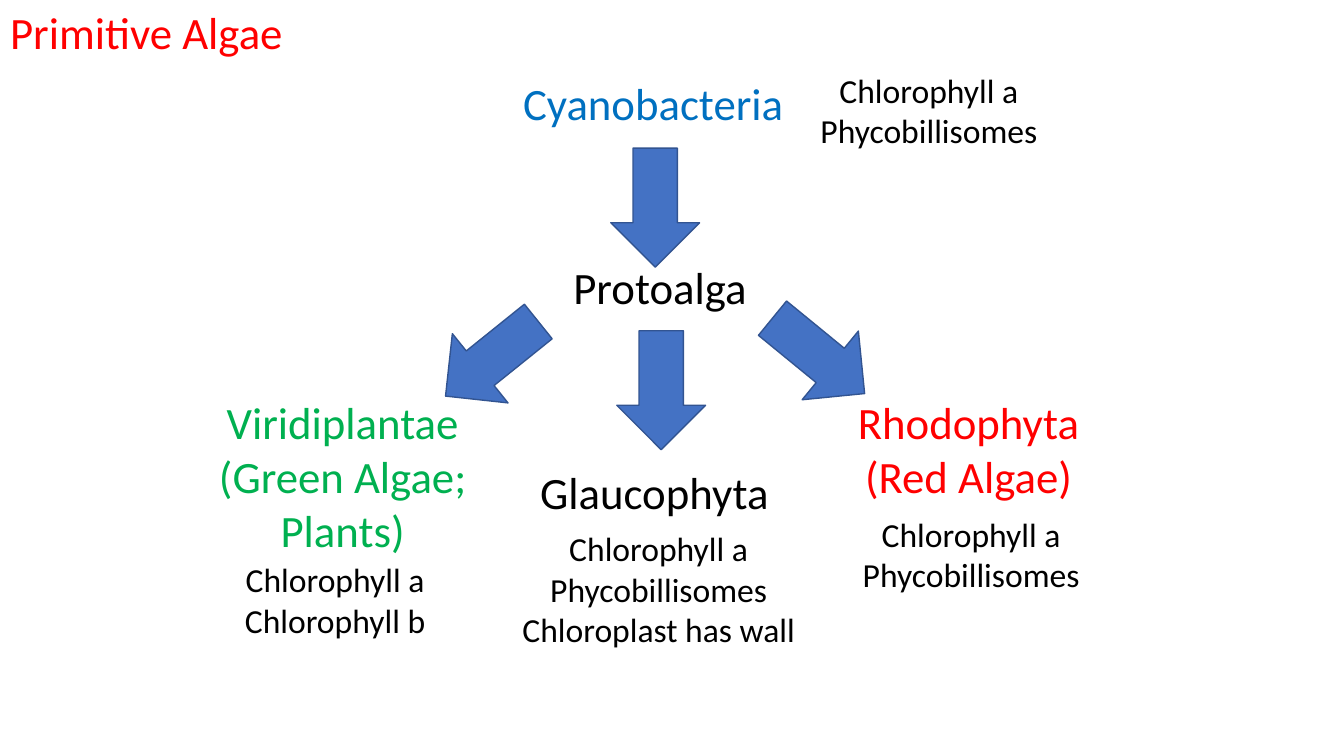
from dataclasses import dataclass

from pptx import Presentation, util as u
from pptx.dml.color import RGBColor
from pptx.enum import shapes, text

COLORS = {
    "red": "FF0000",
    "blue": "0070C0",
    "green": "00B050",
    "black": "000000",
    "arrow": "4472C4",
    "arrow_edge": "325491",
}
FONT = "Calibri"
NAME_SIZE, PIGMENT_SIZE = 32, 24
LINE_SPACING, INSETS = 1.21, 7.2
ARROW_WIDTH, ARROW_HEIGHT = 63.4, 85


@dataclass
class Label:
    left: float
    top: float
    width: float
    lines: list[str]
    color: str = "black"
    size: int = NAME_SIZE
    centred: bool = True


@dataclass
class Arrow:
    left: float
    top: float
    rotation: float = 0


TITLE = Label(0, 0, 211.7, ["Primitive Algae"], "red", centred=False)

ARROWS = [
    Arrow(436.3, 105.8),
    Arrow(553, 211.7, 309.3),
    Arrow(319.7, 213.8, 51.2),
    Arrow(440.6, 236.2),
]

GROUPS = [
    Label(366.5, 50.4, 202.3, ["Cyanobacteria"], "blue", centred=False),
    Label(402.5, 182.2, 139.7, ["Protoalga"], centred=False),
    Label(148.3, 278.6, 193, ["Viridiplantae", "(Green Algae;", "Plants)"], "green"),
    Label(604.8, 278.6, 174.2, ["Rhodophyta", "(Red Algae)"], "red"),
    Label(378.7, 328.3, 180, ["Glaucophyta"], centred=False),
]

RED_PIGMENTS = ["Chlorophyll a", "Phycobillisomes"]
PIGMENTS = [
    Label(578.2, 46.1, 170.6, RED_PIGMENTS, size=PIGMENT_SIZE),
    Label(608.4, 363.6, 170.6, RED_PIGMENTS, size=PIGMENT_SIZE),
    Label(167, 396, 144.7, ["Chlorophyll a", "Chlorophyll b"], size=PIGMENT_SIZE),
    Label(365, 373.7, 211, RED_PIGMENTS + ["Chloroplast has wall"], size=PIGMENT_SIZE),
]


def rgb(name: str) -> RGBColor:
    return RGBColor.from_string(COLORS[name])


def set_all(target, values: dict) -> None:
    for name, value in values.items():
        setattr(target, name, value)


def write_label(sp, label: Label) -> None:
    """Place a title or text box and fill it, one paragraph per line."""
    height = INSETS + len(label.lines) * label.size * LINE_SPACING
    set_all(sp, {
        "left": u.Pt(label.left),
        "top": u.Pt(label.top),
        "width": u.Pt(label.width),
        "height": u.Pt(height),
    })
    tf = sp.text_frame
    set_all(tf, {
        "text": "\n".join(label.lines),
        "word_wrap": False,
        "auto_size": text.MSO_AUTO_SIZE.SHAPE_TO_FIT_TEXT,
        "vertical_anchor": text.MSO_ANCHOR.TOP,
    })
    for p in tf.paragraphs:
        p.alignment = text.PP_ALIGN.CENTER if label.centred else text.PP_ALIGN.LEFT
        for r in p.runs:
            set_all(r.font, {"name": FONT, "size": u.Pt(label.size)})
            r.font.color.rgb = rgb(label.color)


def add_label(s, label: Label) -> None:
    write_label(s.shapes.add_textbox(0, 0, 0, 0), label)


def add_arrow(s, arrow: Arrow) -> None:
    sp = s.shapes.add_shape(
        shapes.MSO_SHAPE.DOWN_ARROW,
        u.Pt(arrow.left), u.Pt(arrow.top), u.Pt(ARROW_WIDTH), u.Pt(ARROW_HEIGHT),
    )
    sp.rotation = arrow.rotation
    sp.shadow.inherit = False
    sp.fill.solid()
    sp.fill.fore_color.rgb = rgb("arrow")
    sp.line.color.rgb = rgb("arrow_edge")
    sp.line.width = u.Pt(1)


def main() -> None:
    prs = Presentation()
    set_all(prs, {"slide_width": u.Pt(960), "slide_height": u.Pt(540)})
    s = prs.slides.add_slide(prs.slide_layouts.get_by_name("Title Only"))
    write_label(s.shapes.title, TITLE)
    for arrow in ARROWS:
        add_arrow(s, arrow)
    for label in GROUPS + PIGMENTS:
        add_label(s, label)
    prs.save("out.pptx")


if __name__ == "__main__":
    main()
